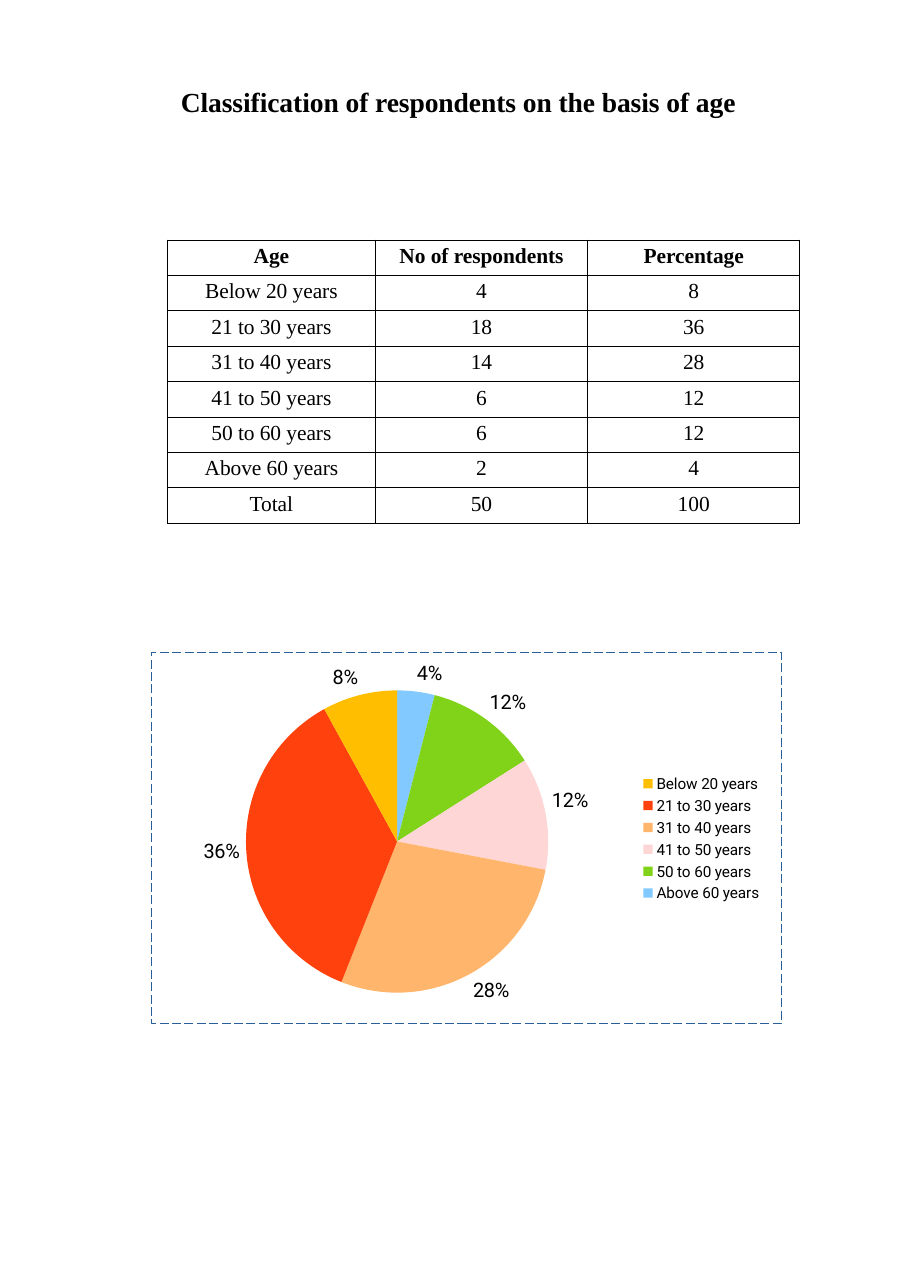
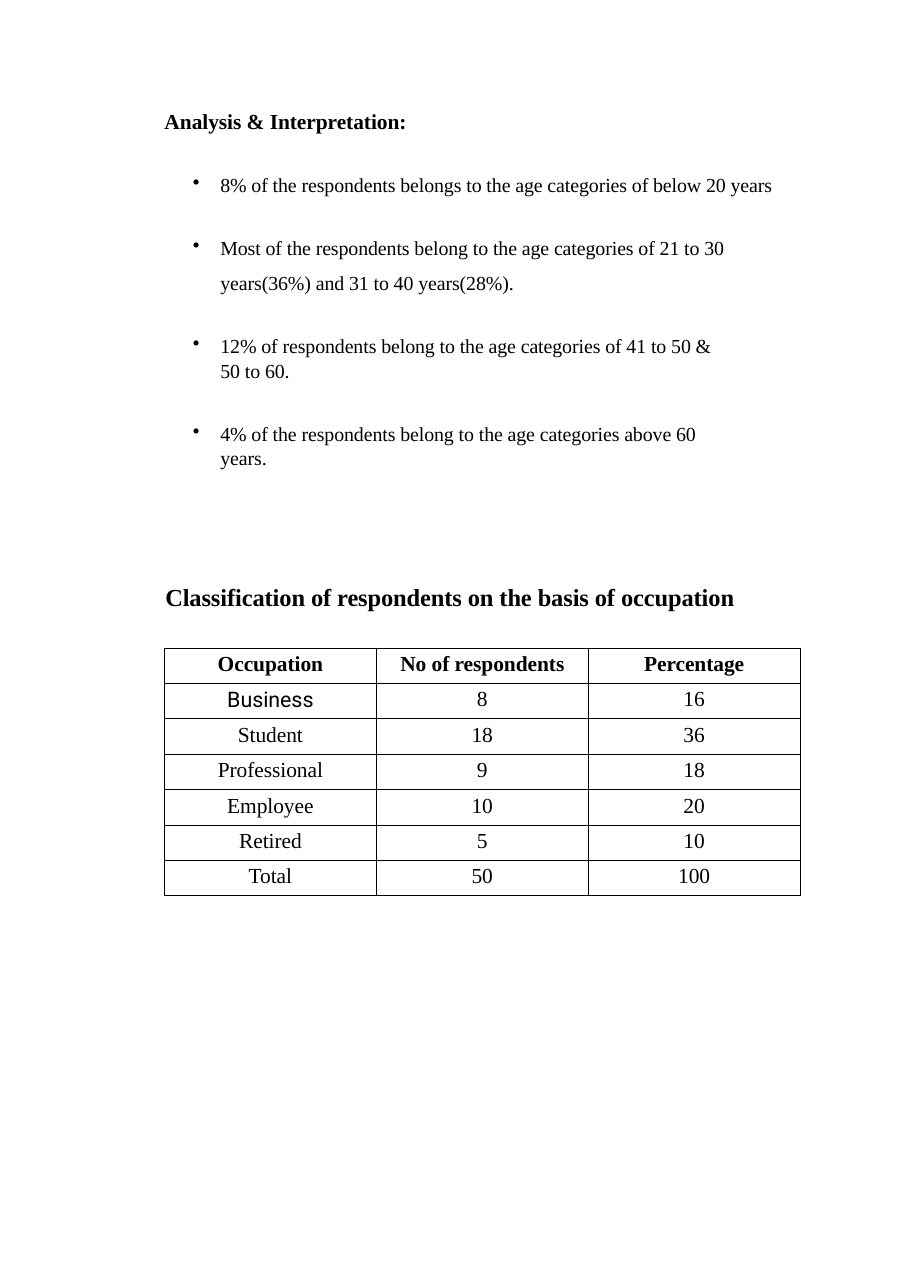
from dataclasses import dataclass

from lxml.etree import SubElement
from pptx import Presentation
from pptx.chart.data import CategoryChartData
from pptx.dml.color import RGBColor
from pptx.enum.chart import XL_CHART_TYPE, XL_LABEL_POSITION
from pptx.enum.dml import MSO_LINE
from pptx.enum.shapes import MSO_SHAPE
from pptx.enum.text import MSO_ANCHOR, PP_ALIGN
from pptx.oxml import parse_xml
from pptx.oxml.ns import nsdecls, qn
from pptx.util import Pt


@dataclass(frozen=True)
class Theme:
    width: float = 594.72
    height: float = 841.68
    serif: str = "Times New Roman"
    sans: str = "Roboto"
    ink: str = "000000"
    frame: str = "295F99"
    slices: tuple = ("FFBE00", "FF410D", "FFB56B", "FFD6D6", "80D319", "82C9FF")
    title: float = 18
    subtitle: float = 16
    table: float = 14
    body: float = 13
    legend: float = 10
    tracking: int = -5
    row: float = 23.15
    line: float = 16


T = Theme()

AGES = [
    ("Age", "No of respondents", "Percentage"),
    ("Below 20 years", "4", "8"),
    ("21 to 30 years", "18", "36"),
    ("31 to 40 years", "14", "28"),
    ("41 to 50 years", "6", "12"),
    ("50 to 60 years", "6", "12"),
    ("Above 60 years", "2", "4"),
    ("Total", "50", "100"),
]
OCCUPATIONS = [
    ("Occupation", "No of respondents", "Percentage"),
    ("Business", "8", "16"),
    ("Student", "18", "36"),
    ("Professional", "9", "18"),
    ("Employee", "10", "20"),
    ("Retired", "5", "10"),
    ("Total", "50", "100"),
]
# Text and line pitch of each finding; \v is a line break.
FINDINGS = [
    ("8% of the respondents belongs to the age categories of below 20 years", T.line),
    ("Most of the respondents belong to the age categories of 21 to 30 "
     "years(36%) and 31 to 40 years(28%).", 22.9),
    ("12% of respondents belong to the age categories of 41 to 50 &\v50 to 60.", T.line),
    ("4% of the respondents belong to the age categories above 60\vyears.", T.line),
]


def set_all(target, **values):
    for name, value in values.items():
        setattr(target, name, value)


def style_font(font, size, name=T.serif, bold=False):
    set_all(font, size=Pt(size), name=name, bold=bold)
    font.color.rgb = RGBColor.from_string(T.ink)


def write(p, text, size, **font):
    p.text = text
    for r in p.runs:
        style_font(r.font, size, **font)
        r.font._element.set("spc", str(T.tracking))


def add_text_box(s, x, y, w, h, anchor=MSO_ANCHOR.TOP):
    tf = s.shapes.add_textbox(Pt(x), Pt(y), Pt(w), Pt(h)).text_frame
    set_all(tf, word_wrap=True, vertical_anchor=anchor, margin_left=0,
            margin_right=0, margin_top=Pt(0.75), margin_bottom=0)
    return tf


def add_heading(s, x, y, w, h, text, size):
    p = add_text_box(s, x, y, w, h).paragraphs[0]
    p.space_before = Pt(1)
    write(p, text, size, bold=True)


def add_bullet(p):
    pPr = p._p.get_or_add_pPr()
    pPr.set("marL", str(Pt(36.5)))
    pPr.set("indent", str(-Pt(18)))
    SubElement(pPr, qn("a:buChar")).set("char", "•")


def add_findings(s, x, y, w, h):
    tf = add_text_box(s, x, y, w, h)
    p = tf.paragraphs[0]
    p.space_before = Pt(1)
    write(p, "Analysis & Interpretation:", T.table, bold=True)
    for text, pitch in FINDINGS:
        p = tf.add_paragraph()
        set_all(p, line_spacing=Pt(pitch), space_before=Pt(41.2 - pitch))
        write(p, text, T.body)
        add_bullet(p)


def outline_cell(cell):
    tcPr = cell._tc.get_or_add_tcPr()
    for i, side in enumerate(("lnL", "lnR", "lnT", "lnB")):
        tcPr.insert(i, parse_xml(
            f'<a:{side} {nsdecls("a")} w="{Pt(0.5)}"><a:solidFill>'
            f'<a:srgbClr val="{T.ink}"/></a:solidFill></a:{side}>'))


def add_data_table(s, x, y, widths, rows, sans_cells=()):
    table = s.shapes.add_table(len(rows), len(widths), Pt(x), Pt(y),
                               Pt(sum(widths)), Pt(T.row * len(rows))).table
    set_all(table, first_row=False, horz_banding=False)
    for column, width in zip(table.columns, widths):
        column.width = Pt(width)
    for i, row in enumerate(rows):
        table.rows[i].height = Pt(T.row)
        for j, text in enumerate(row):
            cell = table.cell(i, j)
            set_all(cell, margin_left=0, margin_right=0, margin_top=Pt(2.9),
                    margin_bottom=0, vertical_anchor=MSO_ANCHOR.TOP)
            cell.fill.background()
            outline_cell(cell)
            p = cell.text_frame.paragraphs[0]
            set_all(p, alignment=PP_ALIGN.CENTER, space_before=Pt(2.6))
            write(p, text, T.table, bold=i == 0,
                  name=T.sans if text in sans_cells else T.serif)


def add_frame(s, x, y, w, h):
    frame = s.shapes.add_shape(MSO_SHAPE.RECTANGLE, Pt(x), Pt(y), Pt(w), Pt(h))
    frame.shadow.inherit = False
    frame.fill.background()
    set_all(frame.line, width=Pt(0.75), dash_style=MSO_LINE.LONG_DASH)
    frame.line.color.rgb = RGBColor.from_string(T.frame)


def set_plot_layout(chart, **fractions):
    area = chart._chartSpace.chart.plotArea
    for old in area.findall(qn("c:layout")):
        area.remove(old)
    parts = "".join(f'<c:{k} val="{v}"/>' for k, v in fractions.items())
    area.insert(0, parse_xml(
        f'<c:layout {nsdecls("c")}><c:manualLayout><c:layoutTarget val="inner"/>'
        f'<c:xMode val="edge"/><c:yMode val="edge"/>{parts}'
        '</c:manualLayout></c:layout>'))


def add_pie(s, x, y, w, h, shares):
    """Draw the shares counter-clockwise from the top."""
    data = CategoryChartData()
    clockwise = shares[::-1]
    data.categories = [name for name, _ in clockwise]
    data.add_series("Percentage", [value for _, value in clockwise])
    chart = s.shapes.add_chart(XL_CHART_TYPE.PIE, Pt(x), Pt(y), Pt(w), Pt(h), data).chart
    set_all(chart, has_title=False, has_legend=False)
    style_font(chart.font, T.body, name=T.sans)
    set_plot_layout(chart, x=0.15, y=0.1, w=0.48, h=0.82)
    plot = chart.plots[0]
    set_all(plot, vary_by_categories=True, has_data_labels=True)
    labels = plot.data_labels
    set_all(labels, show_percentage=True, show_value=False, number_format="0%",
            number_format_is_linked=False, position=XL_LABEL_POSITION.OUTSIDE_END)
    style_font(labels.font, T.body, name=T.sans)
    for i, color in enumerate(T.slices[::-1]):
        fill = plot.series[0].points[i].format.fill
        fill.solid()
        fill.fore_color.rgb = RGBColor.from_string(color)


def add_legend(s, x, y, w, names, pitch=14.3, key=6):
    for i, (name, color) in enumerate(zip(names, T.slices)):
        top = y + i * pitch
        square = s.shapes.add_shape(MSO_SHAPE.RECTANGLE, Pt(x),
                                    Pt(top + (pitch - key) / 2), Pt(key), Pt(key))
        square.shadow.inherit = False
        square.fill.solid()
        square.fill.fore_color.rgb = RGBColor.from_string(color)
        square.line.fill.background()
        tf = add_text_box(s, x + 8.6, top - 0.5, w - 8.6, pitch, MSO_ANCHOR.MIDDLE)
        write(tf.paragraphs[0], name, T.legend, name=T.sans)


def add_age_chart(s, x, y, w, h):
    shares = [(name, int(percent)) for name, _, percent in AGES[1:-1]]
    add_frame(s, x, y, w, h)
    add_pie(s, x, y, w, h, shares)
    add_legend(s, x + 321.5, y + 78.8, 84, [name for name, _ in shares])


def build_age_slide(s):
    add_heading(s, 118.2, 54.7, 380, 23,
                "Classification of respondents on the basis of age", T.title)
    add_data_table(s, 109.6, 156.8, (135.6, 139, 138.5), AGES)
    add_age_chart(s, 99, 426.2, 411.6, 242.8)


def build_occupation_slide(s):
    add_findings(s, 107.5, 69.8, 411, 204)
    add_heading(s, 108, 379.4, 400, 20,
                "Classification of respondents on the basis of occupation", T.subtitle)
    add_data_table(s, 107.5, 423.4, (138.5,) * 3, OCCUPATIONS, sans_cells=("Business",))


def main():
    prs = Presentation()
    set_all(prs, slide_width=Pt(T.width), slide_height=Pt(T.height))
    for build in (build_age_slide, build_occupation_slide):
        build(prs.slides.add_slide(prs.slide_layouts[6]))
    prs.save("out.pptx")


if __name__ == "__main__":
    main()
